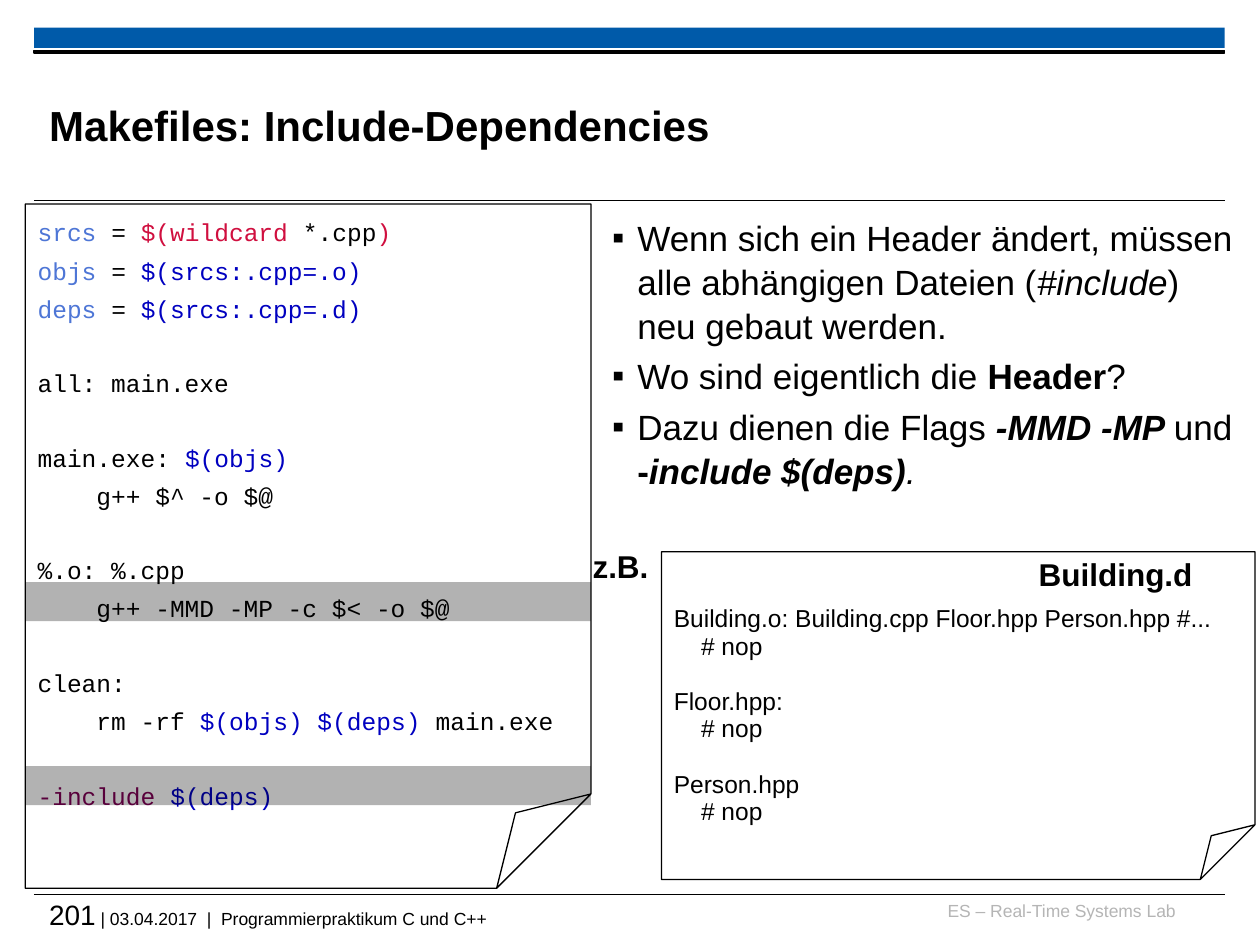
from dataclasses import dataclass, field
from typing import Optional

from lxml.etree import SubElement
from pptx import Presentation
from pptx.dml.color import RGBColor
from pptx.enum.shapes import MSO_CONNECTOR, MSO_SHAPE
from pptx.enum.text import MSO_ANCHOR, PP_ALIGN
from pptx.oxml.ns import qn
from pptx.util import Inches, Pt

COL = Inches(10) // 100
ROW = Inches(7.5) // 75


@dataclass(frozen=True)
class Theme:
    sans: str = "Arial"
    mono: str = "Courier New"
    black: str = "000000"
    bar: str = "005AA9"
    muted: str = "B5B5B5"
    name: str = "4E76D6"
    call: str = "D00F3F"
    var: str = "0000C0"
    keyword: str = "7F0055"
    title: int = 24
    body: int = 20
    label: int = 18
    number: int = 16
    code: int = 14
    footer: int = 10


T = Theme()


@dataclass(frozen=True)
class Box:
    x: float
    y: float
    w: float
    h: float

    def emu(self) -> tuple[int, int, int, int]:
        return (round(self.x * COL), round(self.y * ROW),
                round(self.w * COL), round(self.h * ROW))


@dataclass(frozen=True)
class Run:
    text: str
    color: str = T.black
    bold: bool = False
    italic: bool = False
    size: Optional[int] = None


@dataclass(frozen=True)
class Para:
    runs: list[Run]
    before: float = 0


@dataclass(frozen=True)
class Style:
    size: int
    font: str = T.sans
    align: PP_ALIGN = PP_ALIGN.LEFT
    anchor: MSO_ANCHOR = MSO_ANCHOR.TOP
    spacing: float = 1.0
    insets: tuple[float, float] = (0, 0)
    bullet: str = ""
    wrap: bool = True


@dataclass(frozen=True)
class Block:
    box: Box
    style: Style
    paras: list[Para] = field(default_factory=list)


def add_bullet(p, char: str) -> None:
    pPr = p._p.get_or_add_pPr()
    pPr.set("marL", str(2 * COL))
    pPr.set("indent", str(-2 * COL))
    SubElement(pPr, qn("a:buFont")).set("typeface", T.sans)
    SubElement(pPr, qn("a:buChar")).set("char", char)


def draw_text(s, block: Block) -> None:
    style = block.style
    tf = s.shapes.add_textbox(*block.box.emu()).text_frame
    tf.word_wrap = style.wrap
    tf.vertical_anchor = style.anchor
    tf.margin_left = tf.margin_right = Inches(style.insets[0])
    tf.margin_top = tf.margin_bottom = Inches(style.insets[1])
    for i, para in enumerate(block.paras):
        p = tf.add_paragraph() if i else tf.paragraphs[0]
        p.alignment = style.align
        p.line_spacing = style.spacing
        p.space_before = Pt(para.before)
        if style.bullet:
            add_bullet(p, style.bullet)
        for run in para.runs:
            r = p.add_run()
            r.text = run.text
            r.font.name = style.font
            r.font.size = Pt(run.size or style.size)
            r.font.bold = run.bold
            r.font.italic = run.italic
            r.font.color.rgb = RGBColor.from_string(run.color)


def draw_shape(s, kind: MSO_SHAPE, box: Box, fill: str = "",
               alpha: int = 100, outline: bool = False) -> None:
    sp = s.shapes.add_shape(kind, *box.emu())
    sp.shadow.inherit = False
    if fill:
        sp.fill.solid()
        sp.fill.fore_color.rgb = RGBColor.from_string(fill)
        if alpha < 100:
            clr = sp._element.spPr.find(qn("a:solidFill"))[0]
            SubElement(clr, qn("a:alpha")).set("val", str(alpha * 1000))
    else:
        sp.fill.background()
    if outline:
        sp.line.color.rgb = RGBColor.from_string(T.black)
        sp.line.width = Pt(0.75)
    else:
        sp.line.fill.background()


def draw_rule(s, x: float, y: float, w: float) -> None:
    left, top, width, _ = Box(x, y, w, 0).emu()
    c = s.shapes.add_connector(MSO_CONNECTOR.STRAIGHT, left, top, left + width, top)
    c.line.color.rgb = RGBColor.from_string(T.black)
    c.line.width = Pt(0.6)
    SubElement(c._element.spPr, qn("a:effectLst"))


def lines(groups: list[list[list[Run]]], step: float, gap: float) -> list[Para]:
    return [Para(runs, 0 if g == i == 0 else step if i else gap)
            for g, group in enumerate(groups) for i, runs in enumerate(group)]


MAKEFILE = [
    [[Run("srcs ", T.name), Run("= "), Run("$(wildcard", T.call), Run(" *.cpp"), Run(")", T.call)],
     [Run("objs ", T.name), Run("= "), Run("$(srcs:.cpp=.o)", T.var)],
     [Run("deps ", T.name), Run("= "), Run("$(srcs:.cpp=.d)", T.var)]],
    [[Run("all: main.exe")]],
    [[Run("main.exe: "), Run("$(objs)", T.var)], [Run("    g++ $^ -o $@")]],
    [[Run("%.o: %.cpp")], [Run("    g++ -MMD -MP -c $< -o $@")]],
    [[Run("clean:")],
     [Run("    rm -rf "), Run("$(objs) $(deps)", T.var), Run(" main.exe")]],
    [[Run("-include ", T.keyword), Run("$(deps)", T.var)]],
]
NOP = [Run("    # nop")]
DEPENDENCIES = [[[Run(head)], NOP] for head in (
    "Building.o: Building.cpp Floor.hpp Person.hpp #...", "Floor.hpp:", "Person.hpp")]
POINTS = [[
    [Run("Wenn sich ein Header ändert, müssen alle abhängigen Dateien ("),
     Run("#include", italic=True), Run(") neu gebaut werden.")],
    [Run("Wo sind eigentlich die "), Run("Header", bold=True), Run("?")],
    [Run("Dazu dienen die Flags "), Run("-MMD -MP ", bold=True, italic=True), Run("und "),
     Run("-", bold=True), Run("include $(deps)", bold=True, italic=True), Run(".", italic=True)],
]]

PAGE = Box(2.7, 2.2, 94.5, 1.6)
CODE = Box(2, 16.2, 44.9, 54.3)
DEPS = Box(52.5, 43.8, 47.1, 26)
PAD = (0.1, 0.05)
LABEL = Style(T.label, align=PP_ALIGN.CENTER, spacing=0.93, insets=PAD, wrap=False)

BLOCKS = [
    Block(Box(73.6, 71.4, 19.7, 2.5), Style(T.footer, align=PP_ALIGN.RIGHT),
          [Para([Run("ES – Real-Time Systems Lab", T.muted)])]),
    Block(Box(3.9, 71.2, 60, 3.3), Style(T.footer),
          [Para([Run("201", size=T.number),
                 Run(" | 03.04.2017  |  Programmierpraktikum C und C++")])]),
    Block(Box(3.9, 5.3, 75.2, 9.2), Style(T.title, anchor=MSO_ANCHOR.MIDDLE),
          [Para([Run("Makefiles: Include-Dependencies", bold=True)])]),
    Block(CODE, Style(T.code, T.mono, spacing=1.07, insets=(0.1, 0.09)),
          lines(MAKEFILE, 3.8, 24.6)),
    Block(Box(47.6, 16.6, 51.3, 25), Style(T.body, spacing=1.04, insets=PAD, bullet="▪"),
          lines(POINTS, 4, 4)),
    Block(Box(80.7, 43.8, 15.7, 3.9), LABEL, [Para([Run("Building.d", bold=True)])]),
    Block(Box(45.9, 43.2, 6.7, 3.9), LABEL, [Para([Run("z.B.", bold=True)])]),
    Block(Box(DEPS.x, 47.6, 46.4, 18.5), Style(T.code, spacing=0.93, insets=PAD),
          lines(DEPENDENCIES, 0, 16)),
]


def main() -> None:
    prs = Presentation()
    prs.slide_width, prs.slide_height = 100 * COL, 75 * ROW
    s = prs.slides.add_slide(prs.slide_layouts[6])
    draw_shape(s, MSO_SHAPE.RECTANGLE, PAGE, T.bar)
    draw_shape(s, MSO_SHAPE.RECTANGLE, Box(PAGE.x, 4, PAGE.w, 0.2), T.black, outline=True)
    for y in (15.9, 71):
        draw_rule(s, PAGE.x, y, PAGE.w)
    for box in (CODE, DEPS):
        draw_shape(s, MSO_SHAPE.FOLDED_CORNER, box, outline=True)
    for block in BLOCKS:
        draw_text(s, block)
    for y in (46.2, 60.8):
        draw_shape(s, MSO_SHAPE.RECTANGLE, Box(CODE.x, y, CODE.w, 3.1), T.black, alpha=30)
    prs.save("out.pptx")


if __name__ == "__main__":
    main()
